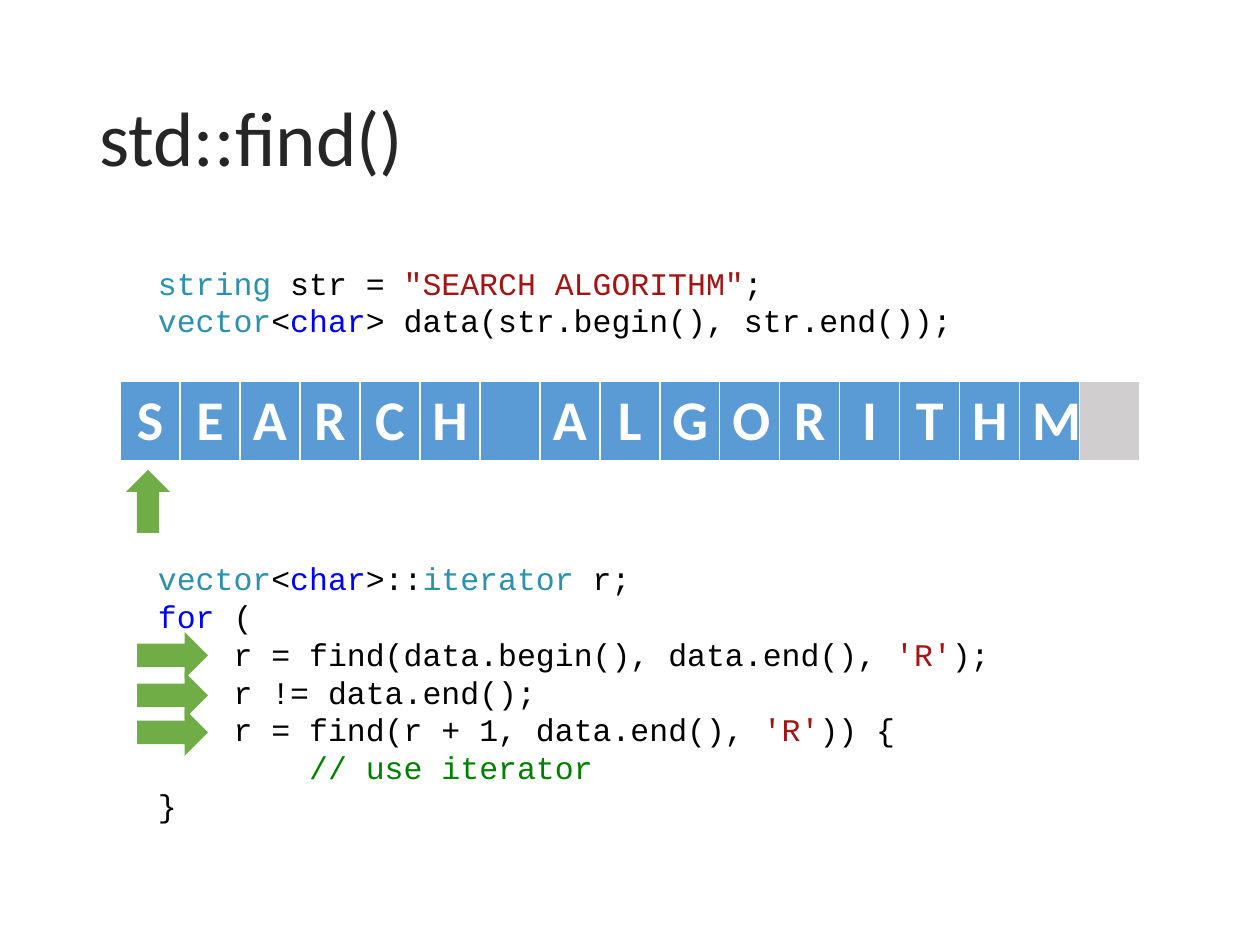
"""Build the std::find() slide: code, a row of letters and marker arrows."""
from lxml.etree import SubElement
from pptx import Presentation
from pptx.dml.color import RGBColor
from pptx.enum.shapes import MSO_SHAPE
from pptx.enum.text import MSO_ANCHOR, MSO_AUTO_SIZE, PP_ALIGN
from pptx.oxml.ns import qn
from pptx.util import Pt

SCALE = 914400 // 126
SLIDE_SIZE = (1260, 945)

TYPE, KEYWORD, PLAIN, STRING, COMMENT = "2B91AF", "0000FF", "000000", "A31515", "008000"
WHITE, BLUE, GREY, GREEN = "FFFFFF", "5B9BD5", "D0CECE", "70AD47"

TITLE = [[("std::find()", "262626")]]
DECLARATION = [
    [("string ", TYPE), ("str = ", PLAIN), ('"SEARCH ALGORITHM"', STRING), (";", PLAIN)],
    [("vector", TYPE), ("<", PLAIN), ("char", KEYWORD),
     ("> data(str.begin(), str.end());", PLAIN)],
]
LOOP = [
    [("vector", TYPE), ("<", PLAIN), ("char", KEYWORD), (">::", PLAIN),
     ("iterator ", TYPE), ("r;", PLAIN)],
    [("for", KEYWORD), (" (", PLAIN)],
    [("    r = find(data.begin(), data.end(), ", PLAIN), ("'R'", STRING), (");", PLAIN)],
    [("    r != data.end();", PLAIN)],
    [("    r = find(r + 1, data.end(), ", PLAIN), ("'R'", STRING), (")) {", PLAIN)],
    [("        // use iterator", COMMENT)],
    [("}", PLAIN)],
]
LETTERS = "SEARCH ALGORITHM"
LETTER_ROW = (120, 381)
CELL_SIZE = (60, 79)
BORDERS = {"a:lnL": 1, "a:lnR": 1, "a:lnT": 1, "a:lnB": 3}
ARROWS = [
    ((126, 470, 44, 63), 0),
    ((149, 620, 47, 71), 90),
    ((149, 660, 47, 71), 90),
    ((149, 697, 47, 71), 90),
]

TITLE_FORMAT = {"size": Pt(44), "name": "Calibri"}
CODE_FORMAT = {"size": Pt(18), "name": "Courier New"}
LETTER_FORMAT = {"size": Pt(32), "name": "Calibri", "bold": True}
CODE_FRAME = {"margin_left": 0, "margin_right": 0, "margin_top": 0, "margin_bottom": 0,
              "word_wrap": False, "auto_size": MSO_AUTO_SIZE.SHAPE_TO_FIT_TEXT}


def px(*lengths):
    return [length * SCALE for length in lengths]


def color(value):
    return RGBColor.from_string(value)


def apply(target, values):
    for name, value in values.items():
        setattr(target, name, value)


def add_run(paragraph, text, value, font_format):
    run = paragraph.add_run()
    run.text = text
    apply(run.font, font_format)
    run.font.color.rgb = color(value)


def add_text(slide, box, lines, font_format, frame_format, spacing=None):
    frame = slide.shapes.add_textbox(*px(*box)).text_frame
    apply(frame, {"vertical_anchor": MSO_ANCHOR.MIDDLE, **frame_format})
    for index, line in enumerate(lines):
        paragraph = frame.add_paragraph() if index else frame.paragraphs[0]
        paragraph.line_spacing = spacing
        for text, value in line:
            add_run(paragraph, text, value, font_format)


def add_borders(cell):
    properties = cell._tc.get_or_add_tcPr()
    for tag, width in BORDERS.items():
        line = SubElement(properties, qn(tag), w=str(Pt(width)))
        fill = SubElement(line, qn("a:solidFill"))
        SubElement(fill, qn("a:srgbClr"), val=WHITE)


def add_letter_row(slide):
    count = len(LETTERS) + 1
    width, height = CELL_SIZE
    box = px(*LETTER_ROW, width * count, height)
    table = slide.shapes.add_table(1, count, *box).table
    apply(table, {"first_row": False, "horz_banding": False})
    for index, column in enumerate(table.columns):
        column.width = width * SCALE
        cell = table.cell(0, index)
        add_borders(cell)
        cell.fill.solid()
        cell.fill.fore_color.rgb = color(BLUE if index < len(LETTERS) else GREY)
        letter = LETTERS[index:index + 1].strip()
        if letter:
            paragraph = cell.text_frame.paragraphs[0]
            paragraph.alignment = PP_ALIGN.CENTER
            add_run(paragraph, letter, WHITE, LETTER_FORMAT)


def add_arrow(slide, box, rotation):
    arrow = slide.shapes.add_shape(MSO_SHAPE.UP_ARROW, *px(*box))
    arrow.rotation = rotation
    arrow.shadow.inherit = False
    arrow.fill.solid()
    arrow.fill.fore_color.rgb = color(GREEN)
    arrow.line.fill.background()


def main():
    presentation = Presentation()
    presentation.slide_width, presentation.slide_height = px(*SLIDE_SIZE)
    slide = presentation.slides.add_slide(presentation.slide_layouts[6])
    add_letter_row(slide)
    add_text(slide, (87, 50, 1086, 183), TITLE, TITLE_FORMAT, {"word_wrap": True}, 0.9)
    add_text(slide, (158, 263, 798, 77), DECLARATION, CODE_FORMAT, CODE_FRAME)
    add_text(slide, (158, 558, 835, 267), LOOP, CODE_FORMAT, CODE_FRAME)
    for box, rotation in ARROWS:
        add_arrow(slide, box, rotation)
    presentation.save("out.pptx")


if __name__ == "__main__":
    main()
